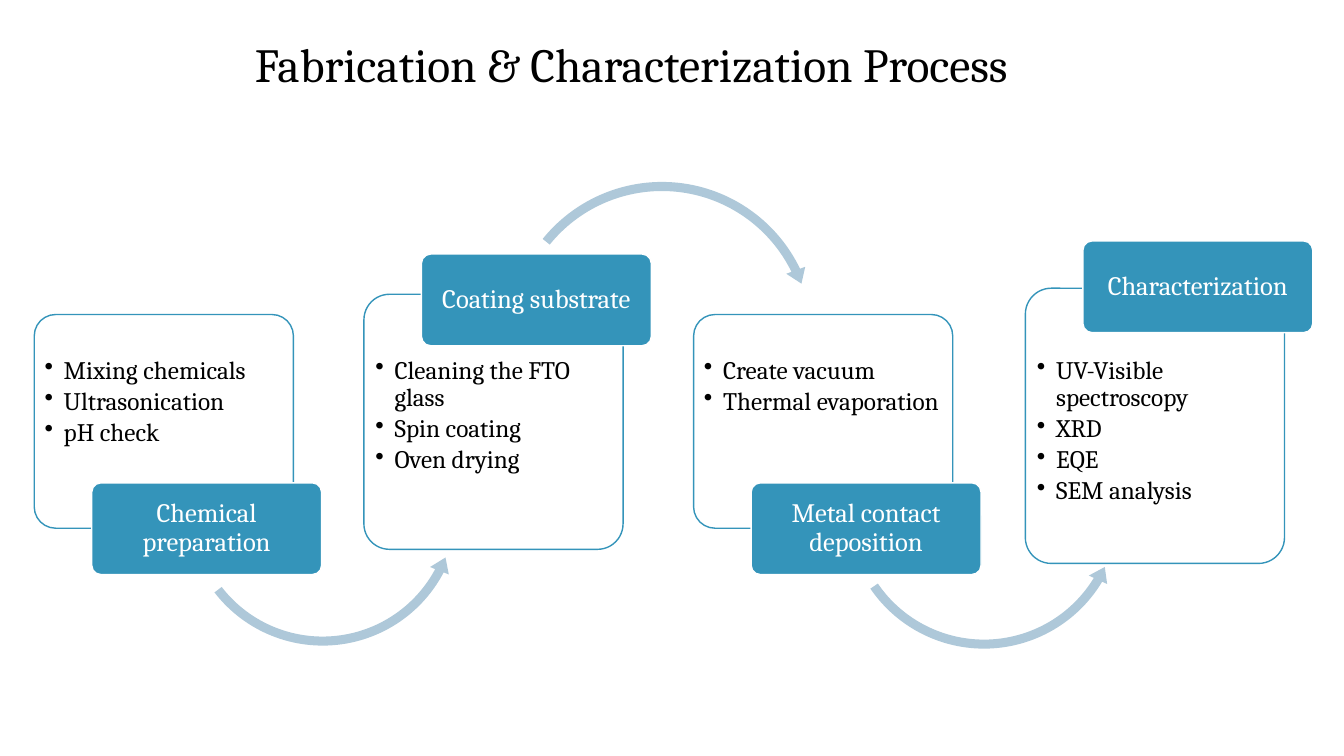
from lxml import etree
from pptx import Presentation
from pptx.dml.color import RGBColor
from pptx.enum.shapes import MSO_SHAPE
from pptx.enum.text import MSO_ANCHOR, PP_ALIGN
from pptx.oxml.ns import qn
from pptx.util import Inches, Pt

ROUNDED = MSO_SHAPE.ROUNDED_RECTANGLE
ARC_OVER = MSO_SHAPE.CIRCULAR_ARROW
ARC_UNDER = MSO_SHAPE.LEFT_CIRCULAR_ARROW
TOP, MIDDLE = MSO_ANCHOR.TOP, MSO_ANCHOR.MIDDLE
LEFT, CENTER = PP_ALIGN.LEFT, PP_ALIGN.CENTER

# Content; lengths in inches
TITLE = "Fabrication & Characterization Process"
STEPS = [
    {"label": "Chemical preparation", "label_top": 4.79,
     "left": 0.34, "top": 3.12, "height": 2.12,
     "items": ["Mixing chemicals", "Ultrasonication", "pH check"],
     "arrow": {"kind": ARC_UNDER, "left": 1.79, "top": 3.64, "size": 2.82,
               "turn": 351.9, "angles": (3.79, 21.57, 90.27)}},
    {"label": "Coating substrate", "label_top": 2.52,
     "left": 3.61, "top": 2.92, "height": 2.53,
     "items": ["Cleaning the FTO glass", "Spin coating", "Oven drying"],
     "arrow": {"kind": ARC_OVER, "left": 4.99, "top": 1.75, "size": 3.15,
               "turn": 6, "angles": (3.36, 196.88, 127.75)}},
    {"label": "Metal contact deposition", "label_top": 4.79,
     "left": 6.88, "top": 3.12, "height": 2.12,
     "items": ["Create vacuum", "Thermal evaporation"],
     "arrow": {"kind": ARC_UNDER, "left": 8.34, "top": 3.65, "size": 2.84,
               "turn": 354.1, "angles": (3.75, 22.2, 90.94)}},
    {"label": "Characterization", "label_top": 2.39,
     "left": 10.17, "top": 2.86, "height": 2.73,
     "items": ["UV-Visible spectroscopy", "XRD", "EQE", "SEM analysis"],
     "arrow": None},
]

COLORS = {"teal": "3494BA", "arrow": "AEC8D9", "white": "FFFFFF", "black": "000000"}
FONT = "Cambria"
PANEL_WIDTH = 2.57
LABEL_WIDTH, LABEL_HEIGHT, LABEL_SHIFT = 2.28, 0.91, 0.57
CORNER = 0.1
LIST_TOP = 3.55  # all lists start on this line
SHAFT, HEAD = 0.09, 0.1  # arrow thickness and half width of its head


def color(name):
    return RGBColor.from_string(COLORS[name])


def add_filled(page, kind, left, top, width, height, fill, line=None):
    shape = page.shapes.add_shape(
        kind, Inches(left), Inches(top), Inches(width), Inches(height))
    shape.shadow.inherit = False
    shape.fill.solid()
    shape.fill.fore_color.rgb = color(fill)
    if line:
        shape.line.color.rgb = color(line)
        shape.line.width = Pt(1)
    else:
        shape.line.fill.background()
    return shape


def set_margins(frame, side, top, bottom):
    frame.margin_left = frame.margin_right = Inches(side)
    frame.margin_top, frame.margin_bottom = Inches(top), Inches(bottom)


def add_span(para, text, size, tint):
    span = para.add_run()
    span.text = text
    span.font.name = FONT
    span.font.size = Pt(size)
    span.font.color.rgb = color(tint)


def add_bullet(para):
    properties = para._p.get_or_add_pPr()
    properties.set("marL", str(Inches(0.19)))
    properties.set("indent", str(-Inches(0.19)))
    etree.SubElement(properties, qn("a:buChar")).set("char", "•")


def add_panel(page, step):
    panel = add_filled(page, ROUNDED, step["left"], step["top"], PANEL_WIDTH,
                       step["height"], "white", "teal")
    panel.adjustments[0] = CORNER
    frame = panel.text_frame
    frame.word_wrap = True
    frame.vertical_anchor = TOP
    # A rounded corner already moves the text in by 0.29 of its radius
    corner_inset = 0.29 * CORNER * min(PANEL_WIDTH, step["height"])
    set_margins(frame, 0.04, LIST_TOP - step["top"] - corner_inset, 0.04)
    for index, item in enumerate(step["items"]):
        para = frame.add_paragraph() if index else frame.paragraphs[0]
        add_bullet(para)
        para.alignment = LEFT
        para.line_spacing = 0.9
        para.space_after = Pt(2.7)
        add_span(para, item, 18, "black")


def add_arrow(page, arrow):
    size = arrow["size"]
    shape = add_filled(page, arrow["kind"], arrow["left"], arrow["top"],
                       size, size, "arrow")
    shape.rotation = arrow["turn"]
    for index, value in enumerate((SHAFT / size, *arrow["angles"], HEAD / size)):
        shape.adjustments[index] = value


def add_label(page, step):
    label = add_filled(page, ROUNDED, step["left"] + LABEL_SHIFT, step["label_top"],
                       LABEL_WIDTH, LABEL_HEIGHT, "teal", "white")
    label.adjustments[0] = CORNER
    frame = label.text_frame
    frame.word_wrap = True
    frame.vertical_anchor = MIDDLE
    set_margins(frame, 0.04, 0.03, 0.03)
    para = frame.paragraphs[0]
    para.alignment = CENTER
    para.line_spacing = 0.9
    add_span(para, step["label"], 19, "white")


def main():
    deck = Presentation()
    deck.slide_width, deck.slide_height = Inches(13.33), Inches(7.5)
    page = deck.slides.add_slide(deck.slide_layouts[6])

    # Process steps
    for step in STEPS:
        add_panel(page, step)
        if step["arrow"]:
            add_arrow(page, step["arrow"])
        add_label(page, step)

    # Title
    box = page.shapes.add_textbox(Inches(2.43), Inches(0.3), Inches(8.89), Inches(0.67))
    box.text_frame.word_wrap = True
    add_span(box.text_frame.paragraphs[0], TITLE, 34, "black")

    deck.save("out.pptx")


if __name__ == "__main__":
    main()
